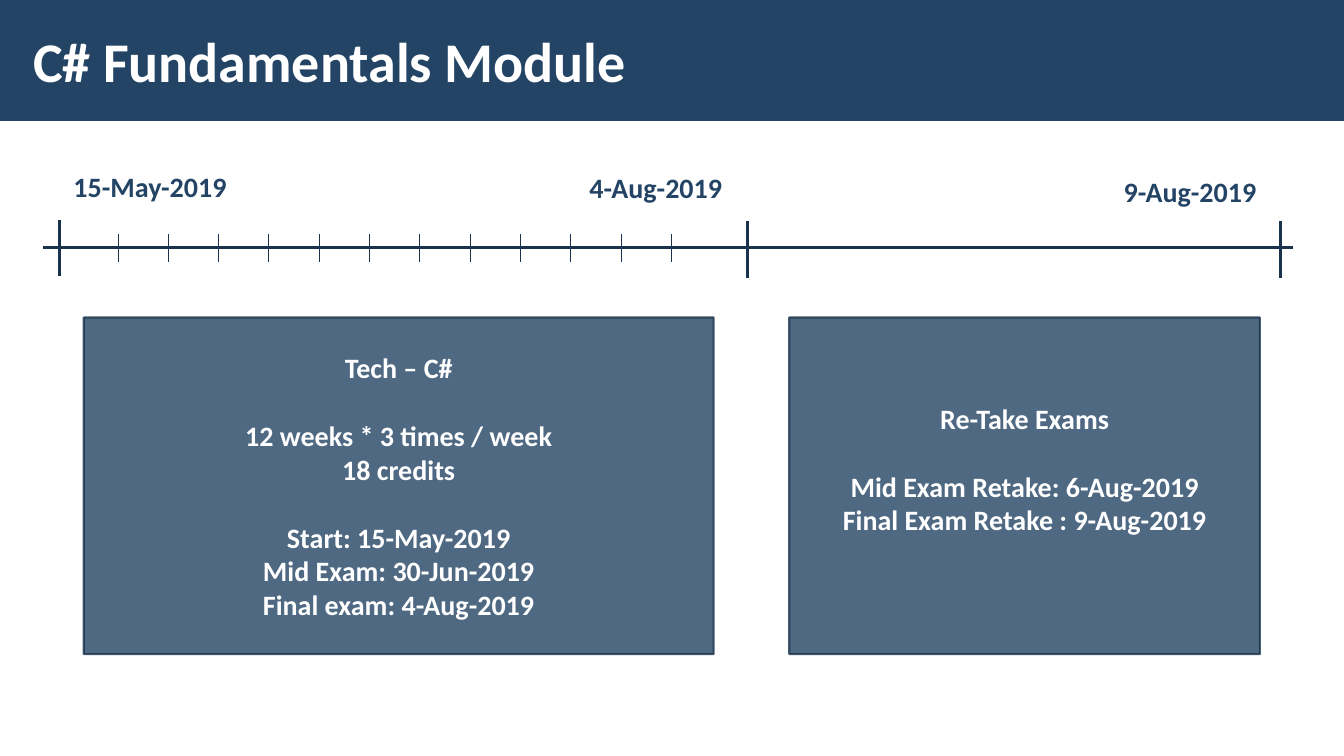
from dataclasses import dataclass

from lxml.etree import SubElement
from pptx import Presentation
from pptx.dml.color import RGBColor
from pptx.enum.shapes import MSO_CONNECTOR as Connector, MSO_SHAPE as Preset
from pptx.enum.text import MSO_ANCHOR as Anchor, MSO_AUTO_SIZE as AutoSize, PP_ALIGN as Align
from pptx.oxml.ns import qn
from pptx.slide import Slide
from pptx.text.text import _Paragraph as Paragraph
from pptx.util import Pt

COLOURS = {"navy": "234465", "line": "1A334C", "white": "FFFFFF"}
FONT = "Calibri"
TEXT_SIZE = 20
BLANK_LINE = 24.4
AXIS_Y = 177.1
TICK_COUNT = 12
TICK_START, TICK_STEP = 84.2, 35.94
BOX_TOP, BOX_HEIGHT = 226.8, 240.5


@dataclass
class Rule:
    x1: float
    y1: float
    x2: float
    y2: float
    weight: float


@dataclass
class DateLabel:
    text: str
    left: float
    top: float
    width: float


@dataclass
class PhaseBox:
    left: float
    width: float
    groups: list[list[str]]
    bottom_inset: float = 3.6


RULES = [
    Rule(31, AXIS_Y, 923.8, AXIS_Y, 2.25),
    Rule(42.5, 157, 42.5, 197.3, 2.25),
    Rule(534.2, 158, 534.2, 198.5, 2.25),
    Rule(914.4, 158, 914.4, 198.5, 2.25),
] + [
    Rule(x, 167, x, 187.2, 0.5)
    for x in (TICK_START + TICK_STEP * week for week in range(TICK_COUNT))
]
DATES = [
    DateLabel("15-May-2019", 45.4, 117.4, 125.3),
    DateLabel("4-Aug-2019", 414, 118.1, 110.9),
    DateLabel("9-Aug-2019", 795.6, 121, 110.9),
]
PHASES = [
    PhaseBox(59.8, 450, [
        ["Tech – C#"],
        ["12 weeks * 3 times / week", "18 credits"],
        ["Start: 15-May-2019", "Mid Exam: 30-Jun-2019", "Final exam: 4-Aug-2019"],
    ]),
    PhaseBox(563.8, 336.2, [
        ["Re-Take Exams"],
        ["Mid Exam Retake: 6-Aug-2019", "Final Exam Retake : 9-Aug-2019"],
    ], bottom_inset=28),
]


def colour(name: str) -> RGBColor:
    return RGBColor.from_string(COLOURS[name])


def add_span(para: Paragraph, text: str, size: float, colour_name: str) -> None:
    span = para.add_run()
    span.text = text
    span.font.name = FONT
    span.font.size = Pt(size)
    span.font.bold = True
    span.font.color.rgb = colour(colour_name)


def add_title(page: Slide) -> None:
    """Fill the title placeholder and lay the header bar behind it."""
    title = page.shapes.title
    title.left, title.top, title.width, title.height = Pt(15.1), Pt(7.9), Pt(748), Pt(70)
    frame = title.text_frame
    frame.auto_size = AutoSize.NONE
    frame.vertical_anchor = Anchor.MIDDLE
    frame.margin_left = frame.margin_right = Pt(8.5)
    frame.margin_top = frame.margin_bottom = Pt(2.8)
    frame.paragraphs[0].alignment = Align.LEFT
    add_span(frame.paragraphs[0], "C# Fundamentals Module", 40, "white")

    bar = page.shapes.add_shape(Preset.RECTANGLE, 0, 0, Pt(960), Pt(86.4))
    bar.shadow.inherit = False
    bar.fill.solid()
    bar.fill.fore_color.rgb = colour("navy")
    bar.line.fill.background()
    title.element.addprevious(bar.element)


def add_rule(page: Slide, rule: Rule) -> None:
    line = page.shapes.add_connector(
        Connector.STRAIGHT, Pt(rule.x1), Pt(rule.y1), Pt(rule.x2), Pt(rule.y2))
    line.line.color.rgb = colour("line")
    line.line.width = Pt(rule.weight)
    SubElement(line.element.spPr, qn("a:effectLst"))


def add_date(page: Slide, date: DateLabel) -> None:
    box = page.shapes.add_textbox(Pt(date.left), Pt(date.top), Pt(date.width), Pt(31.5))
    box.text_frame.word_wrap = False
    box.text_frame.auto_size = AutoSize.SHAPE_TO_FIT_TEXT
    add_span(box.text_frame.paragraphs[0], date.text, TEXT_SIZE, "navy")


def add_phase(page: Slide, phase: PhaseBox) -> None:
    """Draw a translucent box whose text groups are one line apart."""
    box = page.shapes.add_shape(
        Preset.RECTANGLE, Pt(phase.left), Pt(BOX_TOP), Pt(phase.width), Pt(BOX_HEIGHT))
    box.shadow.inherit = False
    box.fill.solid()
    box.fill.fore_color.rgb = colour("navy")
    box.line.color.rgb = colour("line")
    box.line.width = Pt(1.5)
    for tint in box.element.spPr.iter(qn("a:srgbClr")):
        SubElement(tint, qn("a:alpha"), val="80000")

    frame = box.text_frame
    frame.word_wrap = True
    frame.vertical_anchor = Anchor.MIDDLE
    frame.margin_bottom = Pt(phase.bottom_inset)
    para = frame.paragraphs[0]
    for group_index, group in enumerate(phase.groups):
        for line_index, text in enumerate(group):
            if group_index or line_index:
                para = frame.add_paragraph()
            if group_index and not line_index:
                para.space_before = Pt(BLANK_LINE)
            para.alignment = Align.CENTER
            add_span(para, text, TEXT_SIZE, "white")


def main() -> None:
    deck = Presentation()
    deck.slide_width, deck.slide_height = Pt(960), Pt(540)
    page = deck.slides.add_slide(deck.slide_layouts.get_by_name("Title Only"))
    add_title(page)
    for rule in RULES:
        add_rule(page, rule)
    for date in DATES:
        add_date(page, date)
    for phase in PHASES:
        add_phase(page, phase)
    deck.save("out.pptx")


if __name__ == "__main__":
    main()
